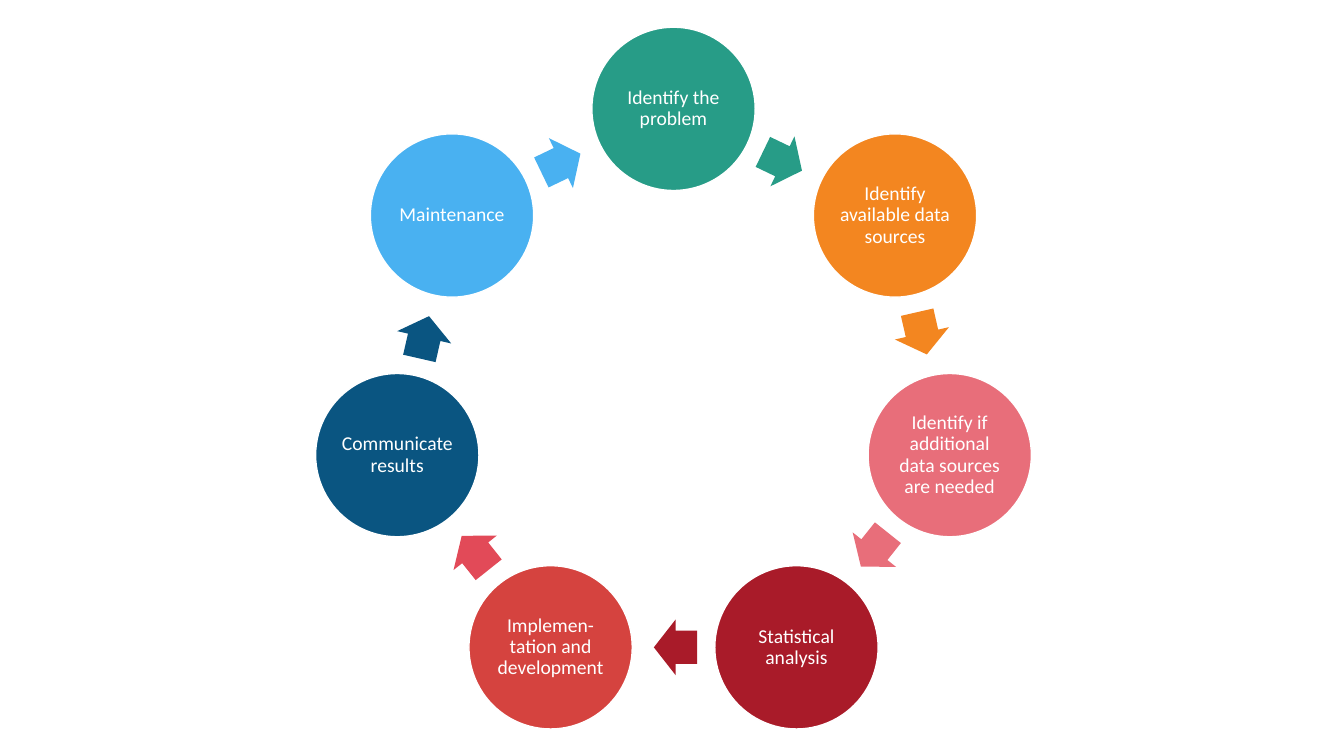
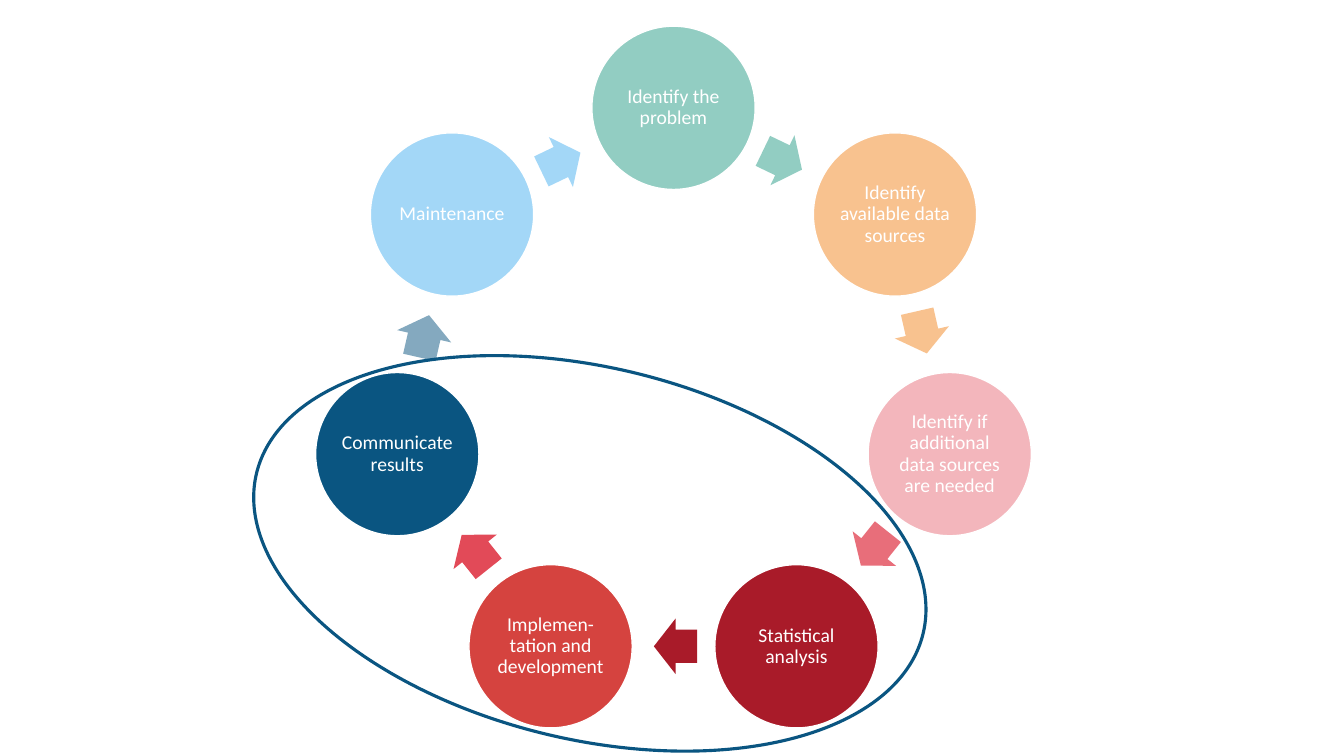
from collections import namedtuple
from math import cos, pi, sin

from lxml import etree
from pptx import Presentation
from pptx.dml.color import RGBColor
from pptx.enum.shapes import MSO_SHAPE
from pptx.enum.text import MSO_ANCHOR, PP_ALIGN
from pptx.oxml.ns import qn
from pptx.util import Inches, Pt

OVAL, ARROW = MSO_SHAPE.OVAL, MSO_SHAPE.RIGHT_ARROW
MIDDLE, CENTER = MSO_ANCHOR.MIDDLE, PP_ALIGN.CENTER

FONT = "Calibri"
WHITE = RGBColor(0xFF, 0xFF, 0xFF)
GREEN = RGBColor(0x27, 0x9C, 0x87)
ORANGE = RGBColor(0xF3, 0x86, 0x20)
PINK = RGBColor(0xE8, 0x6E, 0x7A)
CRIMSON = RGBColor(0xA9, 0x1B, 0x29)
RED = RGBColor(0xD5, 0x43, 0x3F)
ROSE = RGBColor(0xE2, 0x4A, 0x58)
NAVY = RGBColor(0x0A, 0x55, 0x81)
SKY = RGBColor(0x49, 0xB1, 0xF1)

Step = namedtuple("Step", "label color arrow_color")
STEPS = [
    Step("Identify the problem", GREEN, GREEN),
    Step("Identify available data sources", ORANGE, ORANGE),
    Step("Identify if additional data sources are needed", PINK, PINK),
    Step("Statistical analysis", CRIMSON, CRIMSON),
    Step("Implemen-tation and development", RED, ROSE),
    Step("Communicate results", NAVY, NAVY),
    Step("Maintenance", SKY, SKY),
]

# Lengths in inches
SLIDE_W, SLIDE_H = 13.33, 7.5
RING_X, RING_R = 6.68, 2.81
CIRCLE = 1.62
ARROW_W, ARROW_H = 0.43, 0.55
ARROW_LAG = 0.02  # arrows sit slightly behind the middle of each gap
TURN = 2 * pi / len(STEPS)


def add_shape(shapes, kind, center, size, fill=None, alpha=100,
              line=None, line_pt=1, rotation=0):
    """Add a shape by its centre; alpha is the fill opacity in percent."""
    (x, y), (w, h) = center, size
    sp = shapes.add_shape(kind, Inches(x - w / 2), Inches(y - h / 2),
                          Inches(w), Inches(h))
    sp.shadow.inherit = False
    sp.rotation = rotation
    if fill is None:
        sp.fill.background()
    else:
        sp.fill.solid()
        sp.fill.fore_color.rgb = fill
        if alpha < 100:
            color = sp.fill._xPr.find(qn("a:solidFill")).find(qn("a:srgbClr"))
            etree.SubElement(color, qn("a:alpha"), val=str(alpha * 1000))
    if line is None:
        sp.line.fill.background()
    else:
        sp.line.color.rgb = line
        sp.line.width = Pt(line_pt)
    return sp


def write(sp, text, size=14, color=WHITE, inset=0.02, spacing=0.9):
    tf = sp.text_frame
    tf.word_wrap = True
    tf.vertical_anchor = MIDDLE
    tf.margin_left = tf.margin_right = Inches(inset)
    tf.margin_top = tf.margin_bottom = Inches(inset)
    p = tf.paragraphs[0]
    p.alignment = CENTER
    p.line_spacing = spacing
    r = p.add_run()
    r.text = text
    r.font.name = FONT
    r.font.size = Pt(size)
    r.font.color.rgb = color


def ring_point(center_y, position, radius, lag=0.0):
    """Point at a step position, clockwise from the top, moved back by lag."""
    a = position * TURN
    return (RING_X + radius * sin(a) - lag * cos(a),
            center_y - radius * cos(a) - lag * sin(a))


def add_cycle(slide, center_y, faded_steps=(), faded_arrows=()):
    shapes = slide.shapes.add_group_shape().shapes
    for i, step in enumerate(STEPS):
        circle = add_shape(shapes, OVAL, ring_point(center_y, i, RING_R),
                           (CIRCLE, CIRCLE), fill=step.color, line=WHITE,
                           alpha=50 if i in faded_steps else 100)
        write(circle, step.label)
        middle = i + 0.5
        arrow = add_shape(
            shapes, ARROW,
            ring_point(center_y, middle, RING_R * cos(TURN / 2), ARROW_LAG),
            (ARROW_W, ARROW_H), fill=step.arrow_color,
            alpha=50 if i in faded_arrows else 100,
            rotation=360 * middle / len(STEPS))
        arrow.adjustments[0] = 0.6
        arrow.adjustments[1] = 0.5


def main():
    prs = Presentation()
    prs.slide_width, prs.slide_height = Inches(SLIDE_W), Inches(SLIDE_H)
    blank = prs.slide_layouts[6]

    add_cycle(prs.slides.add_slide(blank), 3.89)

    focus = prs.slides.add_slide(blank)
    add_cycle(focus, 3.88, faded_steps=(0, 1, 2, 6), faded_arrows=(0, 1, 5, 6))
    add_shape(focus.shapes, OVAL, (5.85, 5.49), (6.8, 3.69),
              line=NAVY, line_pt=2.25, rotation=13.5)

    prs.save("out.pptx")


if __name__ == "__main__":
    main()
